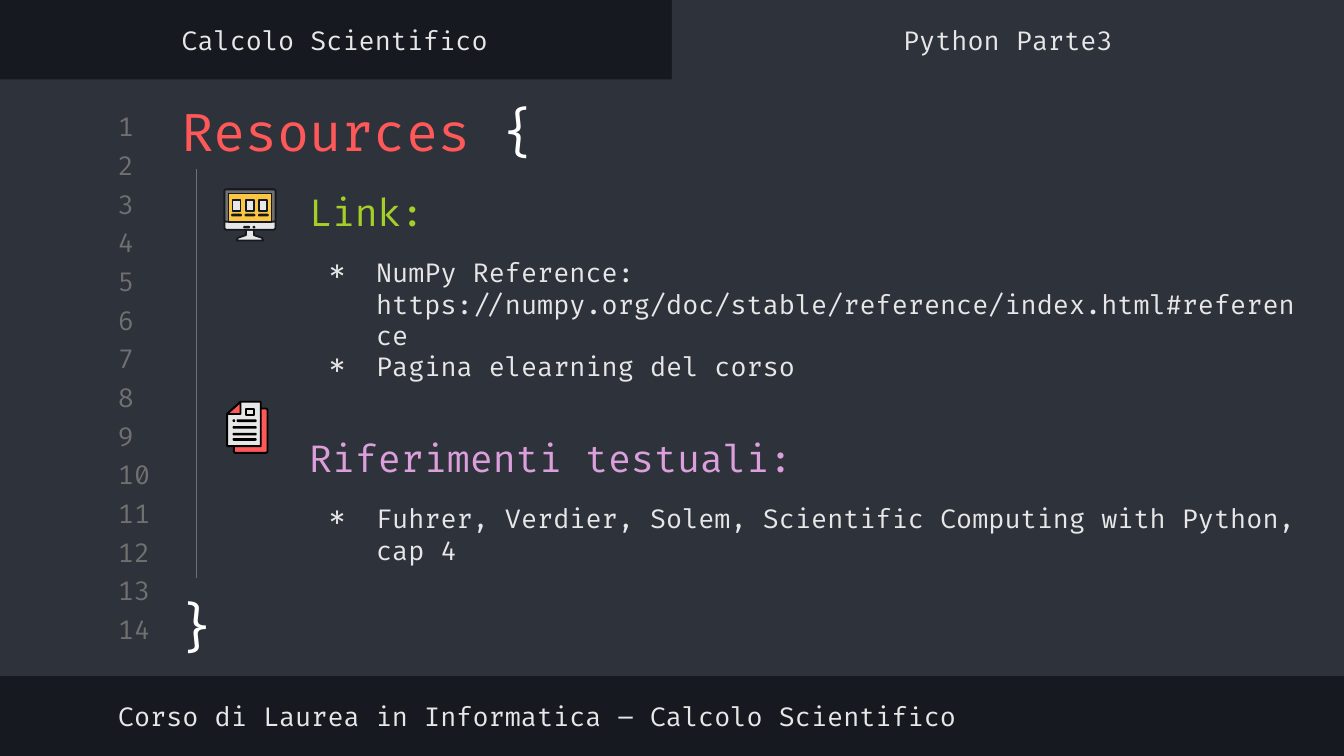
import pptx
import pptx.dml.color
import pptx.enum.shapes
import pptx.enum.text
import pptx.oxml
import pptx.oxml.ns
import pptx.util

Inches = pptx.util.Inches
Shape = pptx.enum.shapes.MSO_SHAPE
Anchor = pptx.enum.text.MSO_ANCHOR
Align = pptx.enum.text.PP_ALIGN

FONT = "Fira Code"
DARK, PANEL, GREY, LIGHT = "16191F", "2E323B", "707070", "E7E7E7"
WHITE, BLACK, RED, YELLOW = "FFFFFF", "000000", "FF5858", "FCC642"
GREEN, VIOLET = "A5CF27", "DBA0DB"
SECTIONS = [
    ("Link:", GREEN, 0, [
        "NumPy Reference: https://numpy.org/doc/stable/reference/index.html#reference",
        "Pagina elearning del corso",
    ]),
    ("Riferimenti testuali:", VIOLET, 28.5, [
        "Fuhrer, Verdier, Solem, Scientific Computing with Python, cap 4",
    ]),
]


def colour(value):
    """Turn a hex string into a colour."""
    return pptx.dml.color.RGBColor.from_string(value)


def within(box, left, top, width, height):
    """Return a box placed relative to the corner of another box."""
    return box[0] + left, box[1] + top, width, height


def style(shape, fill, line=None):
    """Set the fill and outline of a shape without shadow."""
    shape.shadow.inherit = False
    shape.fill.solid()
    shape.fill.fore_color.rgb = colour(fill)
    if line:
        shape.line.color.rgb = colour(line)
        shape.line.width = pptx.util.Pt(1)
    else:
        shape.line.fill.background()


def add_plate(owner, box, fill, line=None, radius=0):
    """Add a rectangle, rounded when a radius is given."""
    kind = Shape.ROUNDED_RECTANGLE if radius else Shape.RECTANGLE
    shape = owner.shapes.add_shape(kind, *map(Inches, box))
    if radius:
        shape.adjustments[0] = radius
    style(shape, fill, line)


def add_outline(owner, box, points, fill, line=None):
    """Add a closed polygon with points relative to the box."""
    corners = [(Inches(box[0] + x), Inches(box[1] + y)) for x, y in points]
    builder = owner.shapes.build_freeform(*corners[0])
    builder.add_line_segments(corners[1:])
    style(builder.convert_to_shape(), fill, line)


def add_span(para, text, size, tint):
    """Add one run of text to a paragraph."""
    span = para.add_run()
    span.text = text
    span.font.name = FONT
    span.font.size = pptx.util.Pt(size)
    span.font.color.rgb = colour(tint)


def add_frame(page, box, anchor=Anchor.TOP):
    """Add an empty wrapping text box and return its frame."""
    frame = page.shapes.add_textbox(*map(Inches, box)).text_frame
    frame.word_wrap = True
    frame.vertical_anchor = anchor
    frame.margin_left = frame.margin_right = Inches(0.1)
    frame.margin_top = frame.margin_bottom = Inches(0.1)
    return frame


def add_label(page, box, text, tint=LIGHT, align=Align.LEFT):
    """Add a single vertically centred line of text."""
    para = add_frame(page, box, Anchor.MIDDLE).paragraphs[0]
    para.alignment = align
    add_span(para, text, 14, tint)


def add_bullet(para):
    """Give a paragraph an asterisk bullet with a hanging indent."""
    props = para._p.get_or_add_pPr()
    props.set("marL", str(Inches(0.5)))
    props.set("indent", str(Inches(-0.35)))
    space = pptx.oxml.ns.nsdecls("a")
    props.append(pptx.oxml.parse_xml(
        f'<a:buClr {space}><a:srgbClr val="{LIGHT}"/></a:buClr>'))
    props.append(pptx.oxml.parse_xml(f'<a:buFont {space} typeface="{FONT}"/>'))
    props.append(pptx.oxml.parse_xml(f'<a:buChar {space} char="∗"/>'))


def add_editor(page, box):
    """Draw the editor panel with its active tab, tab names and footer."""
    add_plate(page, within(box, 0, 0.59, 10, 4.44), PANEL)
    add_plate(page, within(box, 5, 0, 5, 0.69), PANEL)
    for left, name in ((-0.01, "Calcolo Scientifico"), (5, "Python Parte3")):
        add_label(page, within(box, left, 0.1, 5, 0.39), name, align=Align.CENTER)
    add_label(page, within(box, 0.78, 5.13, 6.56, 0.39),
              "Corso di Laurea in Informatica – Calcolo Scientifico")


def add_line_numbers(page, box, count):
    """Spread the line numbers evenly over the height of the box."""
    height = 0.24
    pitch = (box[3] - height) / (count - 1)
    for index in range(count):
        add_label(page, within(box, 0, index * pitch, box[2], height),
                  str(index + 1), GREY)


def add_code_block(page, box):
    """Add the title, the guide line and the closing brace."""
    title = add_frame(page, within(box, 0, 0, box[2], 0.59)).paragraphs[0]
    add_span(title, "Resources ", 28, RED)
    add_span(title, "{", 28, WHITE)
    brace = add_frame(page, within(box, -0.06, 3.68, 0.55, 0.67)).paragraphs[0]
    brace.alignment = Align.CENTER
    add_span(brace, "}", 28, WHITE)
    x = Inches(box[0] + 0.21)
    guide = page.shapes.add_connector(
        pptx.enum.shapes.MSO_CONNECTOR.STRAIGHT,
        x, Inches(box[1] + 0.62), x, Inches(box[1] + 3.66))
    guide.line.color.rgb = colour(GREY)
    guide.line.width = pptx.util.Pt(0.75)
    guide._element.spPr.append(pptx.oxml.parse_xml(
        f'<a:effectLst {pptx.oxml.ns.nsdecls("a")}/>'))


def add_sections(page, box):
    """Write the headed lists of resources."""
    frame = add_frame(page, box)
    para = frame.paragraphs[0]
    for heading, tint, gap, entries in SECTIONS:
        if gap:
            para = frame.add_paragraph()
            para.space_before = pptx.util.Pt(gap)
        add_span(para, heading, 20, tint)
        for index, entry in enumerate(entries):
            para = frame.add_paragraph()
            para.space_before = pptx.util.Pt(0 if index else 12)
            add_bullet(para)
            add_span(para, entry, 14, LIGHT)


def add_monitor(page, box):
    """Draw a desktop monitor showing three cards."""
    icon = page.shapes.add_group_shape()
    stand = [(0.17, 0.31), (0.23, 0.31), (0.23, 0.35), (0.29, 0.37),
             (0.3, 0.39), (0.1, 0.39), (0.11, 0.37), (0.17, 0.35)]
    add_outline(icon, box, stand, LIGHT, DARK)
    add_plate(icon, within(box, 0.01, 0.01, 0.38, 0.3), LIGHT, DARK, 0.05)
    add_plate(icon, within(box, 0.01, 0.01, 0.38, 0.24), GREY, DARK, 0.05)
    add_plate(icon, within(box, 0.04, 0.04, 0.32, 0.21), YELLOW, DARK)
    for column in range(3):
        left = 0.06 + column * 0.1
        add_plate(icon, within(box, left + 0.01, 0.09, 0.06, 0.08), LIGHT, DARK)
        add_plate(icon, within(box, left, 0.19, 0.08, 0.02), DARK, radius=0.5)
    add_plate(icon, within(box, 0.15, 0.28, 0.05, 0.02), DARK, radius=0.5)
    add_plate(icon, within(box, 0.22, 0.28, 0.02, 0.02), DARK, radius=0.5)


def add_document(page, box):
    """Draw two stacked sheets, the front one with a folded corner."""
    icon = page.shapes.add_group_shape()
    add_plate(icon, within(box, 0.06, 0.06, 0.25, 0.33), RED, BLACK, 0.05)
    sheet = [(0.11, 0.01), (0.26, 0.01), (0.26, 0.34), (0.01, 0.34), (0.01, 0.1)]
    add_outline(icon, box, sheet, LIGHT, BLACK)
    add_outline(icon, box, [(0.11, 0.01), (0.11, 0.1), (0.01, 0.1)], RED, BLACK)
    add_plate(icon, within(box, 0.15, 0.06, 0.06, 0.05), LIGHT, BLACK)
    add_plate(icon, within(box, 0.05, 0.14, 0.02, 0.02), BLACK, radius=0.5)
    add_plate(icon, within(box, 0.08, 0.14, 0.15, 0.02), BLACK, radius=0.5)
    for top in (0.19, 0.24, 0.28):
        add_plate(icon, within(box, 0.05, top, 0.18, 0.02), BLACK, radius=0.5)


def main():
    """Build the resources slide and save it."""
    deck = pptx.Presentation()
    deck.slide_width = Inches(10)
    deck.slide_height = deck.slide_width * 9 // 16
    page = deck.slides.add_slide(deck.slide_layouts[6])
    page.background.fill.solid()
    page.background.fill.fore_color.rgb = colour(DARK)
    add_editor(page, (0, 0, 10, 5.62))
    add_line_numbers(page, (0.78, 0.82, 0.47, 3.98), 14)
    add_code_block(page, (1.25, 0.64, 7.97, 4.35))
    add_sections(page, (2.2, 1.31, 7.63, 3.39))
    add_monitor(page, (1.66, 1.4, 0.4, 0.4))
    add_document(page, (1.68, 2.98, 0.32, 0.4))
    deck.save("out.pptx")


if __name__ == "__main__":
    main()
